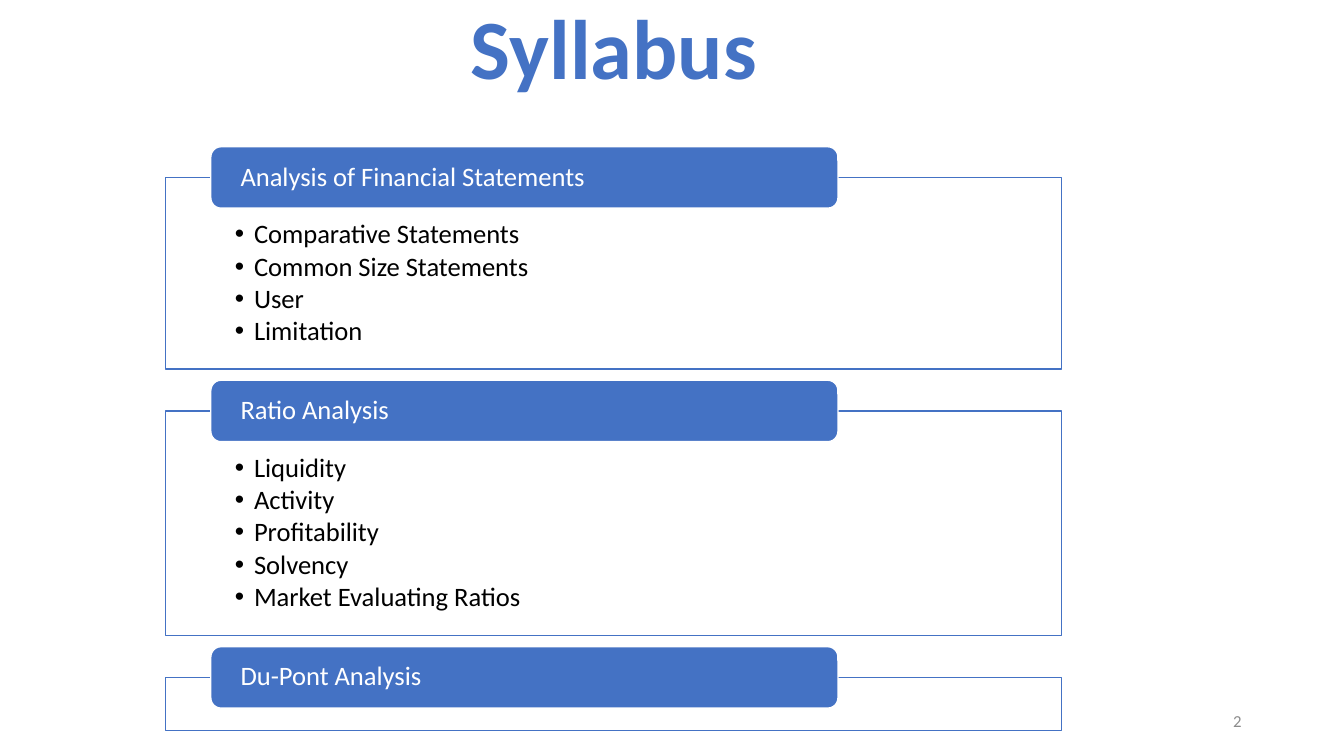
"""Build the syllabus slide: a title over three headed topic boxes."""
from dataclasses import dataclass

from lxml.etree import SubElement
from pptx import Presentation
from pptx.dml.color import RGBColor
from pptx.enum.shapes import MSO_SHAPE as Preset
from pptx.enum.text import MSO_ANCHOR as Anchor, MSO_AUTO_SIZE as AutoSize, PP_ALIGN as Align
from pptx.oxml.ns import qn
from pptx.shapes.autoshape import Shape
from pptx.slide import Slide
from pptx.text.text import TextFrame
from pptx.util import Pt

BLUE, WHITE, BLACK, GREY = "4472C4", "FFFFFF", "000000", "8C8C8C"
FIRST_TOP, SECTION_GAP = 126.8, 30
FRAME_LEFT, FRAME_WIDTH = 118.1, 640
HEADER_LEFT, HEADER_WIDTH, HEADER_HEIGHT = 150.6, 448, 43.9
HEADER_RISE = 22


@dataclass(frozen=True)
class Section:
    heading: str
    height: float
    topics: tuple[str, ...] = ()


SECTIONS = (
    Section("Analysis of Financial Statements", 136.8,
            ("Comparative Statements", "Common Size Statements", "User", "Limitation")),
    Section("Ratio Analysis", 160.3,
            ("Liquidity", "Activity", "Profitability", "Solvency", "Market Evaluating Ratios")),
    Section("Du-Pont Analysis", 37.8),
)


def color(code: str) -> RGBColor:
    return RGBColor.from_string(code)


def write(frame: TextFrame, *lines: str, size: float, ink: str, bold: bool = False,
          align: Align = Align.LEFT, anchor: Anchor = Anchor.MIDDLE,
          insets: tuple[float, float, float, float] = (7.2, 3.6, 7.2, 3.6),
          spacing: float = 0.9, after: float = 0, bullet_indent: float = 0) -> None:
    frame.word_wrap = True
    frame.auto_size = AutoSize.NONE
    frame.vertical_anchor = anchor
    frame.margin_left, frame.margin_top, frame.margin_right, frame.margin_bottom = map(Pt, insets)
    for index, line in enumerate(lines):
        paragraph = frame.add_paragraph() if index else frame.paragraphs[0]
        paragraph.alignment = align
        paragraph.line_spacing = spacing
        paragraph.space_before, paragraph.space_after = Pt(0), Pt(after)
        run = paragraph.add_run()
        run.text = line
        run.font.name, run.font.size, run.font.bold = "Calibri", Pt(size), bold
        run.font.color.rgb = color(ink)
        if bullet_indent:
            properties = paragraph._p.get_or_add_pPr()
            properties.set("marL", str(Pt(bullet_indent)))
            properties.set("indent", str(-Pt(bullet_indent)))
            SubElement(properties, qn("a:buFont"), typeface="Arial")
            SubElement(properties, qn("a:buChar"), char="•")


def add_box(slide: Slide, preset: Preset, left: float, top: float, width: float,
            height: float, fill: str, line: str) -> Shape:
    box = slide.shapes.add_shape(preset, Pt(left), Pt(top), Pt(width), Pt(height))
    box.shadow.inherit = False
    box.fill.solid()
    box.fill.fore_color.rgb = color(fill)
    box.line.color.rgb = color(line)
    box.line.width = Pt(1)
    return box


def add_section(slide: Slide, section: Section, top: float) -> None:
    topics = add_box(slide, Preset.RECTANGLE, FRAME_LEFT, top, FRAME_WIDTH,
                     section.height, WHITE, BLUE)
    if section.topics:
        write(topics.text_frame, *section.topics, size=19, ink=BLACK, anchor=Anchor.TOP,
              insets=(49.7, 31, 49.7, 10.8), after=2.5, bullet_indent=13.7)
    heading = add_box(slide, Preset.ROUNDED_RECTANGLE, HEADER_LEFT, top - HEADER_RISE,
                      HEADER_WIDTH, HEADER_HEIGHT, BLUE, WHITE)
    write(heading.text_frame, section.heading, size=19, ink=WHITE, insets=(19.1, 0, 19.1, 0))


def main() -> None:
    deck = Presentation()
    deck.slide_width, deck.slide_height = Pt(960), Pt(540)
    slide = deck.slides.add_slide(deck.slide_layouts[5])

    title = slide.shapes.title
    title.left, title.top, title.width, title.height = Pt(193), Pt(13), Pt(491), Pt(60.5)
    write(title.text_frame, "Syllabus", size=60.3, ink=BLUE, bold=True,
          align=Align.CENTER, anchor=Anchor.BOTTOM)

    page_number = slide.shapes.add_textbox(Pt(678), Pt(500.5), Pt(216), Pt(28.8))
    write(page_number.text_frame, "2", size=12, ink=GREY, align=Align.RIGHT, spacing=1.0)

    top = FIRST_TOP
    for section in SECTIONS:
        add_section(slide, section, top)
        top += section.height + SECTION_GAP

    deck.save("out.pptx")


if __name__ == "__main__":
    main()
